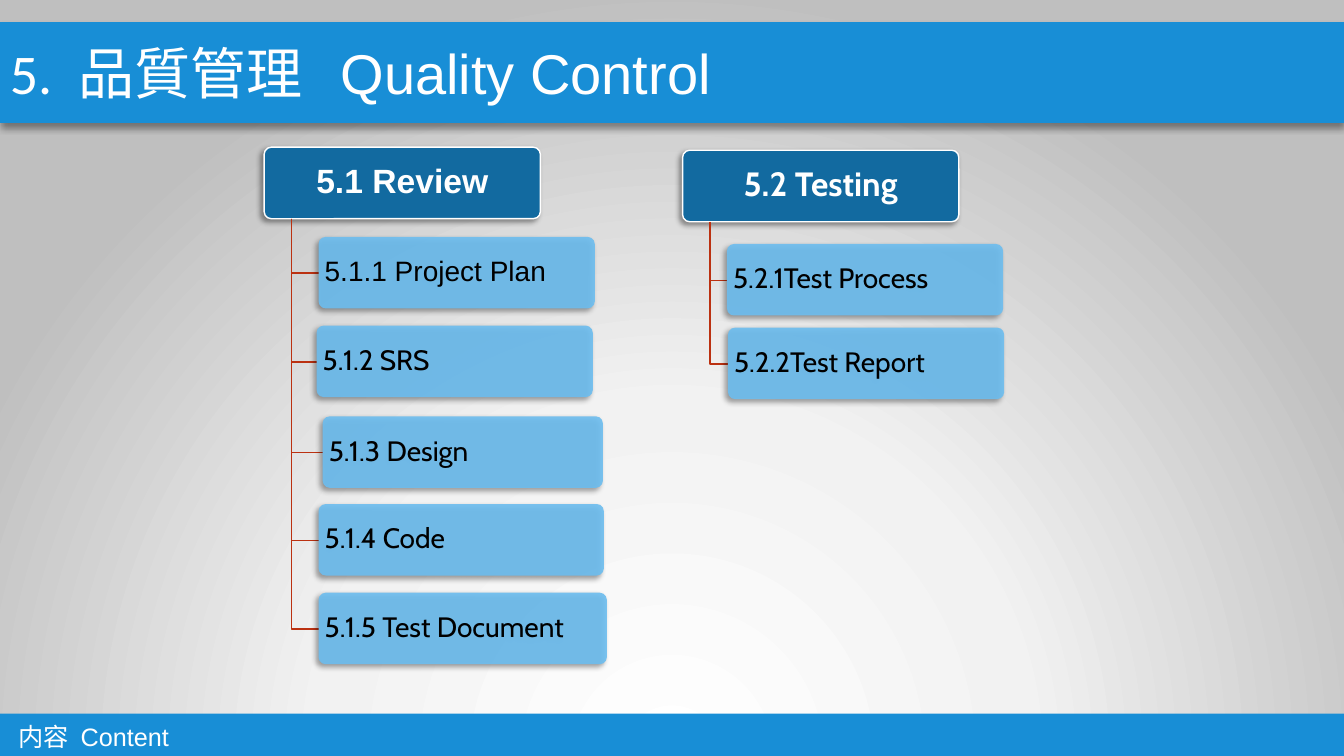
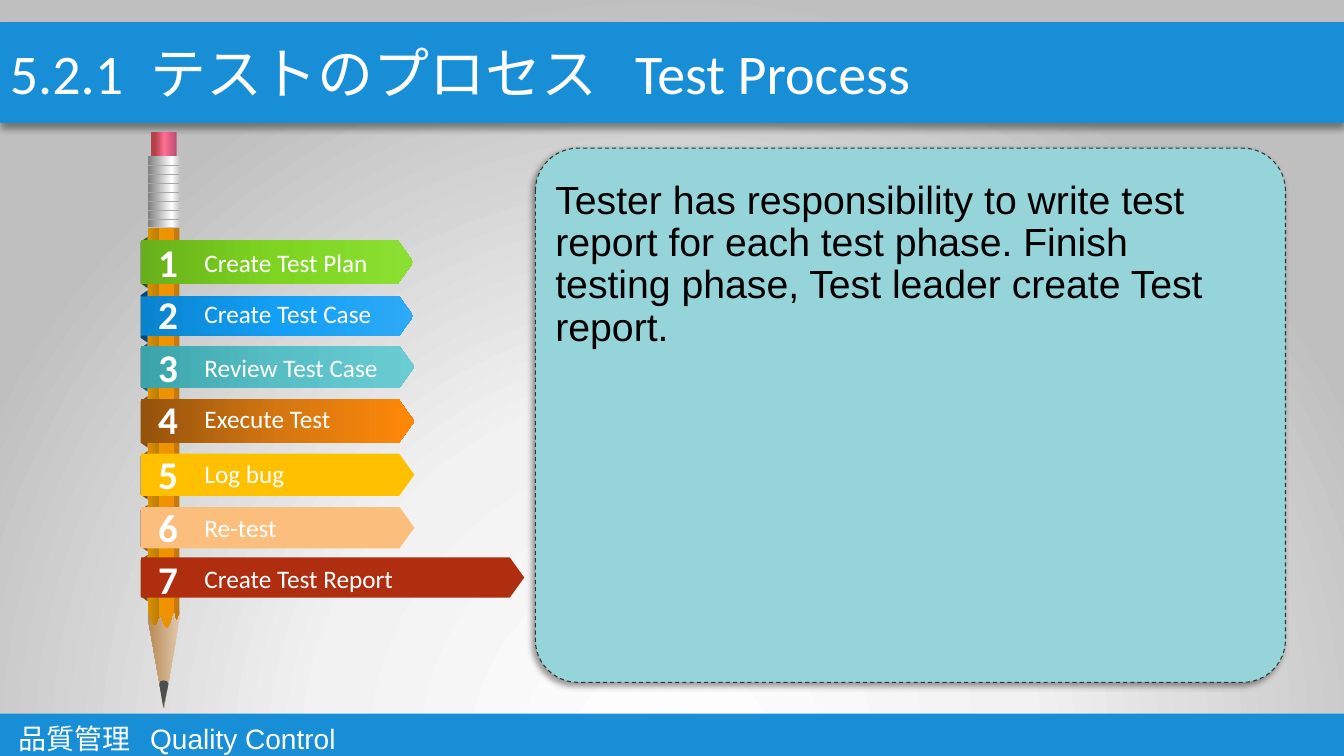
"""Build two quality-control slides: a review and testing outline, and the test process."""
from dataclasses import dataclass

from lxml import etree
from pptx import Presentation
from pptx import util as u
from pptx.dml.color import RGBColor
from pptx.enum import dml, shapes, text
from pptx.oxml.ns import qn

PX = 9144


@dataclass(frozen=True)
class Theme:
    band: str = "188ED6"
    parent: str = "126AA0"
    child: str = "6CBDEF"
    white: str = "FFFFFF"
    ink: str = "000000"
    panel_line: str = "333333"
    elbow: str = "BB3111"
    panel: str = "95D5DA"
    ring: str = "A6A6A6"
    lead: str = "4C504C"
    backdrop: tuple = ((0, "FFFFFF"), (46, "F2F2F2"), (100, "BFBFBF"))
    title_size: int = 40
    body_size: int = 28
    parent_size: int = 24
    child_size: int = 20
    label_size: int = 18
    sans: str = "Arial"
    rounded: str = "Cabin"
    office: str = "Calibri"


T = Theme()

OUTLINE = {
    "title": [("5.\t", T.office), ("品質管理\tQuality Control", T.sans)],
    "title_tabs": (68, 328),
    "footer": "内容\tContent",
    "footer_size": 18,
    "footer_tab": 62,
}
PROCESS = {
    "title": [("5.2.1\tテストのプロセス\tTest Process", T.office)],
    "title_tabs": (139, 620),
    "footer": "品質管理\tQuality Control",
    "footer_size": 20,
    "footer_tab": 131,
}

NODE_WIDTH, NODE_HEIGHT, TRUNK_INDENT = 274, 71, 27
TREES = [
    (("5.1 Review", T.sans, 262, 146), [
        ("5.1.1 Project Plan", T.sans, 316, 235, 274),
        ("5.1.2 SRS", T.rounded, 314, 323, 274),
        ("5.1.3 Design", T.rounded, 320, 413, 278),
        ("5.1.4 Code", T.rounded, 316, 500, 283),
        ("5.1.5 Test Document", T.rounded, 316, 588, 286),
    ]),
    (("5.2 Testing", T.rounded, 677, 149), [
        ("5.2.1Test Process", T.rounded, 721, 242, 274),
        ("5.2.2Test Report", T.rounded, 722, 325, 274),
    ]),
]

RIBBON_LEFT = 140
RIBBONS = [
    ("Create Test Plan", 238, 270, 44, 260, 51, "375814", ("68B01B", "7ED521", "8BDF32")),
    ("Create Test Case", 294, 270, 39, 311, 52, "0C476B", ("0983CE", "129FF5", "2EAAF6")),
    ("Review Test Case", 343, 271, 42, 364, 48, "236064", ("3BA4AB", "57BEC5", "6BCDD4")),
    ("Execute Test", 396, 271, 44, 415, 51, "8B4A04", ("95530C", "D47611", "FF8808")),
    ("Log bug", 450, 271, 42, 470, 48, "8B4A04", ("FFC000",)),
    ("Re-test", 503, 271, 41, 523, 46, "8B4A04", ("FBBE7C",)),
    ("Create Test Report", 553, 380, 40, 574, 46, "8B4A04", ("B02E10",)),
]

BARREL = [(147, 226), (178, 226), (178, 602), (178, 609), (175, 615), (174, 609),
          (173, 607), (171, 610), (168, 619), (166, 623), (163, 620), (161, 613),
          (159, 611), (157, 613), (155, 619), (153, 620), (150, 617), (147, 605)]
BARREL_STOPS = [(0, "D99100"), (33, "BD7C04"), (34, "ED9501"),
                (82, "EF9100"), (83, "C87B14"), (100, "BC7908")]
LEAD = [(162, 675), (166, 676), (167, 679), (162, 702), (158, 679), (159, 676)]
RING_TOPS = range(164, 219, 9)

PANEL_TEXT = ("Tester has responsibility to write test report for each test phase. "
              "Finish testing phase, Test leader create Test report.")


def px(*lengths):
    return [u.Emu(round(length * PX)) for length in lengths]


def add(parent, tag, **attributes):
    element = etree.SubElement(parent, qn(tag))
    for name, value in attributes.items():
        element.set(name, str(value))
    return element


def paint_gradient(fill, holder, stops, angle=None):
    fill.gradient()
    gradient = next(holder.iter(qn("a:gradFill")))
    for child in list(gradient):
        gradient.remove(child)
    gradient.set("rotWithShape", "1")
    stop_list = add(gradient, "a:gsLst")
    for position, colour in stops:
        add(add(stop_list, "a:gs", pos=position * 1000), "a:srgbClr", val=colour)
    if angle is None:
        circle = add(gradient, "a:path", path="circle")
        add(circle, "a:fillToRect", l=50000, t=130000, r=50000, b=-30000)
    else:
        add(gradient, "a:lin", ang=angle * 60000, scaled=0)


def paint(shape, fill, angle=0, line=None, weight=1):
    shape.shadow.inherit = False
    if fill is None:
        shape.fill.background()
    elif isinstance(fill, str):
        shape.fill.solid()
        shape.fill.fore_color.rgb = RGBColor.from_string(fill)
    else:
        paint_gradient(shape.fill, shape.element, fill, angle)
    if line:
        shape.line.color.rgb = RGBColor.from_string(line)
        shape.line.width = u.Pt(weight)
    else:
        shape.line.fill.background()
    return shape


def draw(page, kind, box, fill, adjust=None, turn=0, **style):
    shape = page.shapes.add_shape(kind, *px(*box))
    if adjust is not None:
        shape.adjustments[0] = adjust
    shape.rotation = turn
    return paint(shape, fill, **style)


def trace(page, points, fill=None, close=True, **style):
    builder = page.shapes.build_freeform(*points[0], scale=PX)
    builder.add_line_segments(points[1:], close=close)
    return paint(builder.convert_to_shape(), fill, **style)


def cast_shadow(shape, blur, angle):
    effects = next(shape.element.iter(qn("a:effectLst")))
    shadow = add(effects, "a:outerShdw", blurRad=u.Pt(blur), dist=u.Pt(3),
                 dir=angle * 60000, algn="ctr", rotWithShape=0)
    add(add(shadow, "a:srgbClr", val=T.ink), "a:alpha", val=40000)


def add_ring(page, top):
    ends = px(147, top, 178, top)
    ring = page.shapes.add_connector(shapes.MSO_CONNECTOR.STRAIGHT, *ends)
    ring.line.color.rgb = RGBColor.from_string(T.ring)
    ring.line.width = u.Pt(0.5)
    add(ring.element.spPr, "a:effectLst")


def write(shape, spans, size, colour, bold=False, centred=False, tabs=(),
          insets=(10, 5, 10, 5), anchor=text.MSO_ANCHOR.TOP, spacing=None):
    frame = shape.text_frame
    frame.word_wrap = True
    frame.vertical_anchor = anchor
    frame.margin_left, frame.margin_top, frame.margin_right, frame.margin_bottom = px(*insets)
    para = frame.paragraphs[0]
    para.alignment = text.PP_ALIGN.CENTER if centred else text.PP_ALIGN.LEFT
    if spacing:
        para.line_spacing = spacing
    if tabs:
        tab_list = add(para._p.get_or_add_pPr(), "a:tabLst")
        for stop in tabs:
            add(tab_list, "a:tab", pos=stop * PX, algn="l")
    for words, font in spans:
        span = para.add_run()
        span.text = words
        span.font.name = font
        span.font.size = u.Pt(size)
        span.font.bold = bold
        span.font.color.rgb = RGBColor.from_string(colour)


def start_page(deck, content):
    page = deck.slides.add_slide(deck.slide_layouts[6])
    kind = shapes.MSO_SHAPE.RECTANGLE
    header = draw(page, kind, (0, 22, 1333, 100), T.band)
    cast_shadow(header, 5, 90)
    write(header, content["title"], T.title_size, T.white,
          tabs=content["title_tabs"], insets=(10, 16, 10, 0))
    footer = draw(page, kind, (0, 708, 1333, 46), T.band)
    write(footer, [(content["footer"], T.sans)], content["footer_size"], T.white,
          tabs=(content["footer_tab"],), insets=(18, 8, 10, 0))
    return page


def add_node(page, box, label, font, is_parent=False):
    fill = T.parent if is_parent else T.child
    node = draw(page, shapes.MSO_SHAPE.ROUNDED_RECTANGLE, box, fill, 0.1,
                line=T.white if is_parent else None)
    cast_shadow(node, 4, 135)
    if not is_parent:
        colour = next(node.element.spPr.iter(qn("a:srgbClr")))
        add(colour, "a:alpha", val=90000)
    write(node, [(label, font)], T.parent_size if is_parent else T.child_size,
          T.white if is_parent else T.ink, bold=is_parent, centred=is_parent,
          insets=(4, 5, 4, 5), anchor=text.MSO_ANCHOR.MIDDLE, spacing=0.9)


def add_tree(page, parent, children):
    label, font, left, top = parent
    trunk, bottom = left + TRUNK_INDENT, top + NODE_HEIGHT
    add_node(page, (left, top, NODE_WIDTH, NODE_HEIGHT), label, font, is_parent=True)
    for name, face, x, y, width in children:
        middle = y + (NODE_HEIGHT + 1) // 2
        trace(page, [(trunk, bottom), (trunk, middle), (x, middle)], close=False, line=T.elbow)
        add_node(page, (x, y, width, NODE_HEIGHT), name, face)


def add_pencil(page):
    kinds = shapes.MSO_SHAPE
    draw(page, kinds.PENTAGON, (114, 638, 97, 32), [(0, "E1C9AF"), (100, "B88954")],
         2.82, turn=90, angle=90)
    trace(page, BARREL, BARREL_STOPS)
    draw(page, kinds.RECTANGLE, (147, 155, 32, 70),
         [(0, "BFBFBF"), (27, "FFFFFF"), (100, "808080")], angle=180)
    draw(page, kinds.RECTANGLE, (150, 131, 25, 24),
         [(16, "B24349"), (52, "FF6E94"), (100, "BF4C73")])
    trace(page, LEAD, T.lead)
    for top in RING_TOPS:
        add_ring(page, top)


def add_ribbon(page, number, ribbon):
    label, top, width, height, text_middle, fold, fold_colour, colours = ribbon
    kinds = shapes.MSO_SHAPE
    middle = top + height / 2
    draw(page, kinds.TRAPEZOID, (143 - fold / 2, middle - 3, fold, 7), fold_colour, 0.7, turn=270)
    fill = colours[0] if len(colours) == 1 else list(zip((0, 50, 100), colours))
    draw(page, kinds.PENTAGON, (RIBBON_LEFT, top, width, height), fill, 0.36)
    for words, left, box_width, size in ((str(number), 147, 42, T.body_size),
                                         (label, 193, 220, T.label_size)):
        box = page.shapes.add_textbox(*px(left, text_middle - 31, box_width, 62))
        write(box, [(words, T.office)], size, T.white, bold=size == T.body_size,
              anchor=text.MSO_ANCHOR.MIDDLE)


def add_panel(page):
    panel = draw(page, shapes.MSO_SHAPE.ROUNDED_RECTANGLE, (531, 147, 744, 530),
                 T.panel, 0.08, line=T.panel_line, weight=0.75)
    panel.line.dash_style = dml.MSO_LINE.DASH
    cast_shadow(panel, 4, 135)
    box = page.shapes.add_textbox(*px(541, 174, 709, 469))
    write(box, [(PANEL_TEXT, T.sans)], T.body_size, T.ink, spacing=0.9)


def main():
    deck = Presentation()
    deck.slide_width, deck.slide_height = px(1333, 750)
    master = deck.slide_master
    paint_gradient(master.background.fill, master.element, T.backdrop)
    page = start_page(deck, OUTLINE)
    for parent, children in TREES:
        add_tree(page, parent, children)
    page = start_page(deck, PROCESS)
    add_pencil(page)
    for number, ribbon in enumerate(RIBBONS, 1):
        add_ribbon(page, number, ribbon)
    add_panel(page)
    deck.save("out.pptx")


if __name__ == "__main__":
    main()
